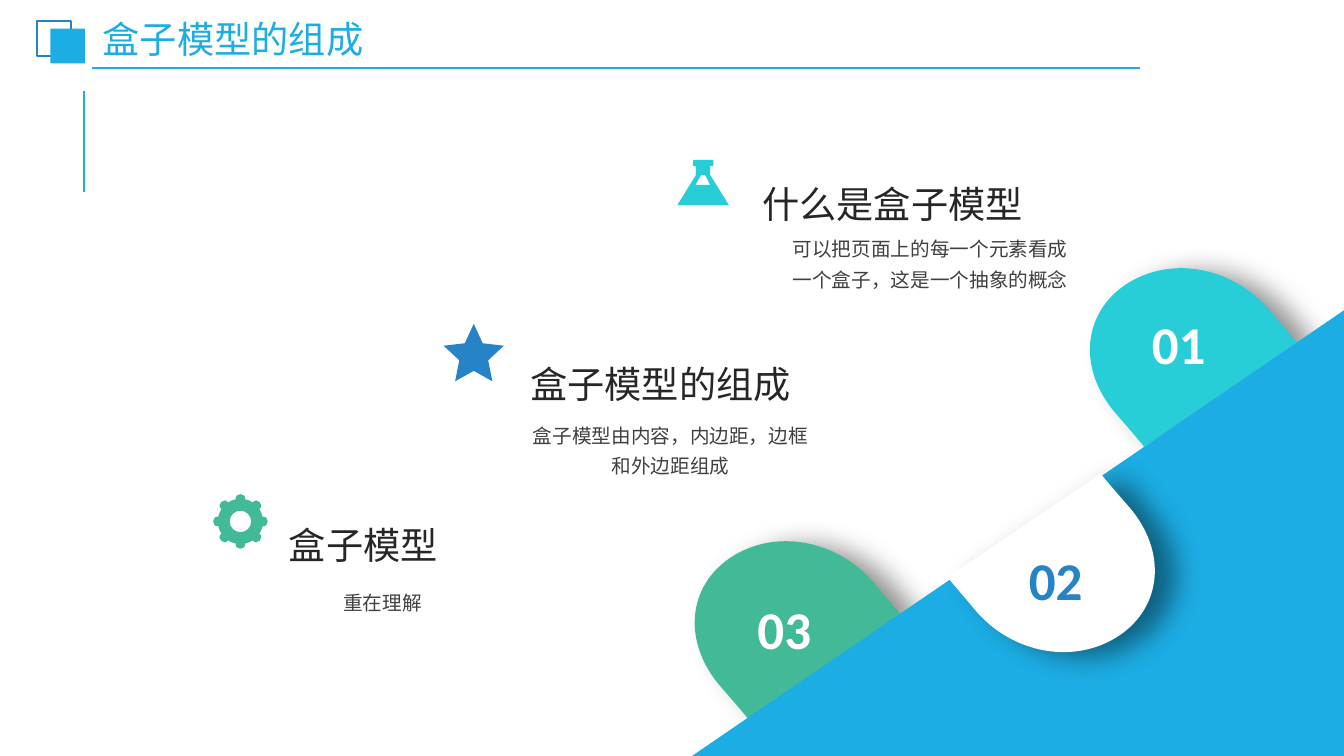
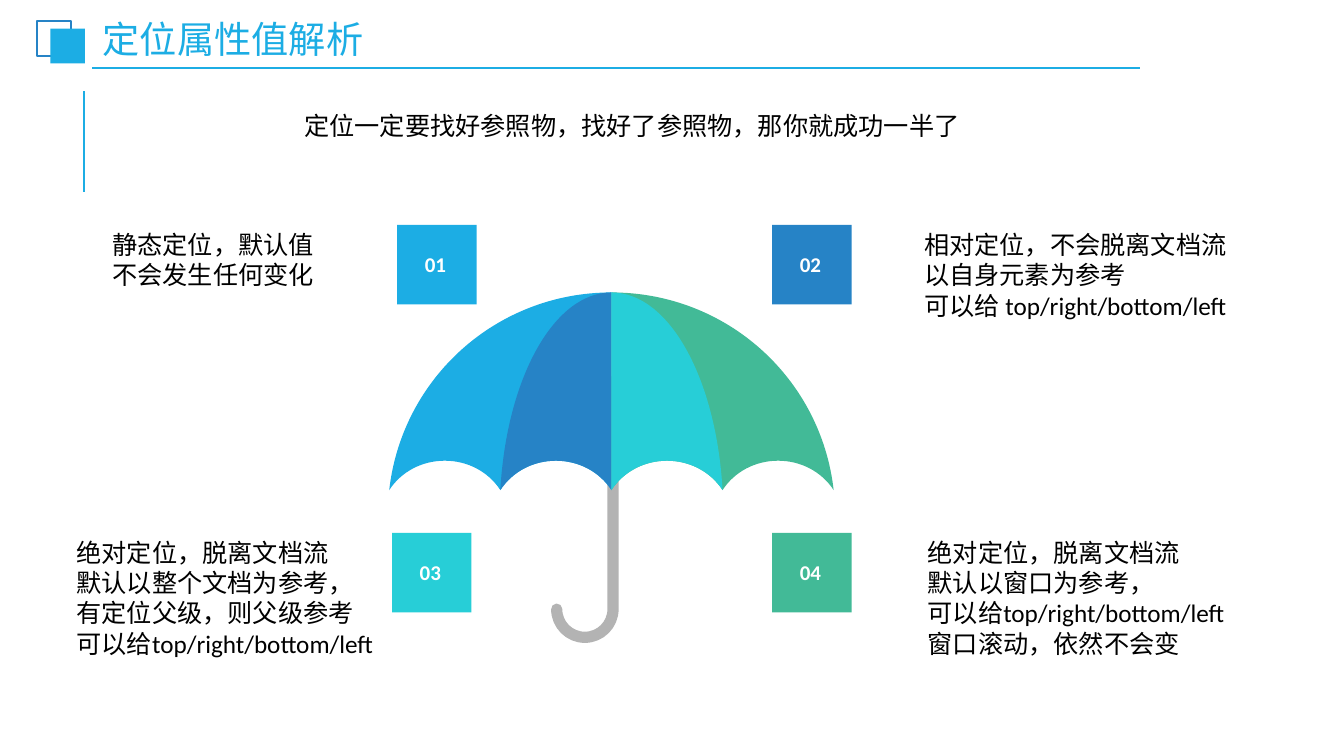
from math import cos, pi, sin, tan

from lxml.etree import SubElement as Sub
from pptx import Presentation
from pptx.dml.color import RGBColor as Rgb
from pptx.enum.shapes import MSO_CONNECTOR as Conn, MSO_SHAPE as Kind
from pptx.enum.text import MSO_ANCHOR as Anchor, MSO_AUTO_SIZE as Auto, PP_ALIGN as Align
from pptx.oxml.ns import qn
from pptx.util import Cm, Pt

FONT = "Calibri"
HUES = {
    "sky": "1CADE4", "blue": "2683C6", "cyan": "27CED7", "green": "42BA97",
    "white": "FFFFFF", "black": "000000", "dark": "262626", "gray": "404040",
    "steel": "B3B3B3",
}
WIDE, HIGH = 33.87, 19.05


def hue(name):
    return Rgb.from_string(HUES[name])


# Basic parts
def paint(shape, fill=None, line=None, width=1.5):
    shape.shadow.inherit = False
    if fill:
        shape.fill.solid()
        shape.fill.fore_color.rgb = hue(fill)
    else:
        shape.fill.background()
    if line:
        shape.line.color.rgb = hue(line)
        shape.line.width = Pt(width)
    else:
        shape.line.fill.background()
    return shape


def block(slide, kind, x, y, w, h, **look):
    return paint(slide.shapes.add_shape(kind, Cm(x), Cm(y), Cm(w), Cm(h)), **look)


def rule(slide, x1, y1, x2, y2, width):
    line = slide.shapes.add_connector(Conn.STRAIGHT, Cm(x1), Cm(y1), Cm(x2), Cm(y2))
    line.line.color.rgb = hue("sky")
    line.line.width = Pt(width)
    Sub(line._element.spPr, qn("a:effectLst"))


def write(frame, text, size=18, color="black", bold=False, align=Align.LEFT,
          anchor=Anchor.TOP, space=1.0, inset=(0.25, 0.13), grow=True):
    frame.word_wrap = True
    frame.auto_size = Auto.SHAPE_TO_FIT_TEXT if grow else Auto.NONE
    frame.vertical_anchor = anchor
    frame.margin_left = frame.margin_right = Cm(inset[0])
    frame.margin_top = frame.margin_bottom = Cm(inset[1])
    for i, row in enumerate(text.split("\n")):
        para = frame.add_paragraph() if i else frame.paragraphs[0]
        para.alignment = align
        para.line_spacing = space
        run = para.add_run()
        run.text = row
        run.font.name = FONT
        run.font.size = Pt(size)
        run.font.bold = bold
        run.font.color.rgb = hue(color)


def label(slide, x, y, w, h, text, **form):
    box = slide.shapes.add_textbox(Cm(x), Cm(y), Cm(w), Cm(h))
    write(box.text_frame, text, **form)


# Outlines: a ring is a start and parts; two numbers a line, six a cubic curve
def trace(ring, steps=16):
    dots = [ring[0]]
    for part in ring[1:]:
        if len(part) == 2:
            dots.append(part)
            continue
        x0, y0 = dots[-1]
        x1, y1, x2, y2, x3, y3 = part
        for i in range(1, steps + 1):
            t = i / steps
            a, b, c, d = (1 - t) ** 3, 3 * t * (1 - t) ** 2, 3 * t * t * (1 - t), t ** 3
            dots.append((a * x0 + b * x1 + c * x2 + d * x3,
                         a * y0 + b * y1 + c * y2 + d * y3))
    return dots


def arc(x, y, r, start, end, count=1):
    """Cubic curves along a circle, without the starting point."""
    step = (end - start) / count
    pull = 4 / 3 * tan(step / 4)
    parts = []
    for i in range(count):
        a, b = start + i * step, start + (i + 1) * step
        parts.append((x + r * (cos(a) - pull * sin(a)), y + r * (sin(a) + pull * cos(a)),
                      x + r * (cos(b) + pull * sin(b)), y + r * (sin(b) - pull * cos(b)),
                      x + r * cos(b), y + r * sin(b)))
    return parts


def draw(slide, x, y, *rings, flip=(1, 1), close=True, **look):
    """Outline whose rings are measured from the point x, y."""
    def spot(a, b):
        return Cm(x + flip[0] * a), Cm(y + flip[1] * b)

    # Sampled points give the bounds
    pen = None
    for ring in rings:
        dots = [spot(*dot) for dot in trace(ring)]
        if pen is None:
            pen = slide.shapes.build_freeform(*dots[0], scale=1.0)
        else:
            pen.move_to(*dots[0])
        pen.add_line_segments(dots[1:], close=close)
    shape = paint(pen.convert_to_shape(), **look)

    # True curves take their place
    track = shape._element.spPr.find(".//" + qn("a:path"))
    for step in list(track):
        track.remove(step)
    for ring in rings:
        for i, part in enumerate(ring):
            tag = "a:cubicBezTo" if len(part) == 6 else "a:lnTo" if i else "a:moveTo"
            step = Sub(track, qn(tag))
            for a, b in zip(part[::2], part[1::2]):
                px, py = spot(a, b)
                Sub(step, qn("a:pt"), x=str(px - shape.left), y=str(py - shape.top))
        if close:
            Sub(track, qn("a:close"))
    return shape


def shade(shape):
    glow = Sub(shape._element.spPr.find(qn("a:effectLst")), qn("a:outerShdw"),
               blurRad=str(Pt(20)), dist=str(Pt(15)), dir=str(12 * 60000),
               algn="ctr", rotWithShape="0")
    tint = Sub(glow, qn("a:srgbClr"), val=HUES["black"])
    Sub(tint, qn("a:alpha"), val="43000")


# Shared header
def header(slide, title):
    rule(slide, 2.11, 4.83, 2.11, 2.29, 1.5)
    rule(slide, 2.33, 1.72, 28.73, 1.72, 1.25)
    block(slide, Kind.RECTANGLE, 0.93, 0.53, 0.87, 0.88, line="blue")
    block(slide, Kind.RECTANGLE, 1.27, 0.72, 0.87, 0.88, fill="sky")
    label(slide, 2.4, 0.58, 9.98, 0.94, title, size=26.6, color="sky",
          anchor=Anchor.MIDDLE, space=0.9, inset=(0.19, 0.1), grow=False)


# Icons
def flask(slide, x, y, color):
    body = [(0, 1.14), (1.3, 1.14), (0.83, 0.38), (0.83, 0.16), (0.91, 0.16),
            (0.91, 0), (0.4, 0), (0.4, 0.16), (0.47, 0.16), (0.47, 0.38)]
    hole = [(0.6, 0.38), (0.7, 0.38), (0.83, 0.63), (0.46, 0.63)]
    draw(slide, x, y, body, hole, fill=color)


def star(slide, x, y, color):
    shape = block(slide, Kind.STAR_5_POINT, x, y, 1.52, 1.45, fill=color)
    shape.adjustments[0] = 0.24


def gear(slide, x, y, color, teeth=8):
    body, bore, half, lean = 0.57, 0.27, 0.69, 0.21
    gap = 2 * pi / teeth
    rim = [(body * cos(-lean), body * sin(-lean))]
    for i in range(teeth):
        mid = i * gap
        end = mid + lean
        tip = []
        for side in (-0.15, 0.15):
            tip += [0.73 * cos(mid) - side * sin(mid), 0.73 * sin(mid) + side * cos(mid)]
        rim.append((*tip, body * cos(end), body * sin(end)))
        rim += arc(0, 0, body, end, mid + gap - lean)
    hole = [(bore, 0)] + arc(0, 0, bore, 0, 2 * pi, 4)
    draw(slide, x + half, y + half, rim, hole, fill=color)


# Parts of the stairs slide
def drop(slide, x, y, fill, side=1):
    """Drop with its cut corner at x, y."""
    ring = [(0, 0), (0, 0, -0.69, -0.81, -0.71, -0.84),
            (-1.65, -1.93, -3.2, -2.21, -4.32, -1.47),
            (-5.41, -0.74, -5.54, 0.66, -4.57, 1.78),
            (-4.57, 1.78, -3.86, 2.59, -3.86, 2.62)]
    shade(draw(slide, x, y, ring, flip=(side, side), fill=fill))


def topic(slide, x, y, w, head, note, dx, dy, nw, nh):
    label(slide, x, y, w, 1.52, head, size=26.6, color="dark", space=1.2)
    label(slide, x + dx, y + dy, nw, nh, note, size=14, color="gray",
          align=Align.CENTER, space=1.3, inset=(0.23, 0.11))


def stairs(slide):
    header(slide, "盒子模型的组成")
    # Drops and slope
    drop(slide, 32.69, 8.64, "cyan")
    drop(slide, 22.73, 15.52, "green")
    left, top = 17.44, 7.82
    draw(slide, left, top, [(0, HIGH - top), (WIDE - left, HIGH - top),
                            (WIDE - left, 0)], fill="sky")
    drop(slide, 23.88, 14.55, "white", side=-1)
    # Topics
    flask(slide, 17.07, 4.03, "cyan")
    star(slide, 11.18, 8.16, "blue")
    gear(slide, 5.37, 12.45, "green")
    topic(slide, 18.96, 4.22, 8.36, "什么是盒子模型",
          "可以把页面上的每一个元素看成一个盒子，这是一个抽象的概念",
          0.65, 1.47, 7.67, 1.73)
    topic(slide, 13.11, 8.76, 8.64, "盒子模型的组成",
          "盒子模型由内容，内边距，边框和外边距组成", 0.07, 1.63, 7.44, 1.73)
    topic(slide, 7.03, 12.81, 9.02, "盒子模型", "重在理解", -1.11, 1.8, 7.44, 0.94)
    # Numbers
    block(slide, Kind.RECTANGLE, 25.68, 13.67, 2.26, 1.88, fill="white")
    for x, y, text, ink in ((28.78, 7.72, "01", "white"), (25.68, 13.67, "02", "blue"),
                            (18.84, 14.91, "03", "white")):
        if ink == "white":
            label(slide, x, y, 2.26, 1.88, text, size=37.9, color=ink, bold=True)
        else:
            write(slide.shapes[-2].text_frame, text, size=37.9, color=ink, bold=True)


# Parts of the umbrella slide
def shell(slide, x, y, side, bays, color):
    """Half canopy of one or two bays, with its tip at x, y."""
    bay, drip, rise = 2.8, 4.98, 0.74
    lip = drip - rise
    ring = [(0, 0), (1.45 * bays, 0, 2.64 * bays, 2.16, bay * bays, drip)]
    for i in range(bays, 0, -1):
        edge, mid = i * bay, (i - 0.5) * bay
        ring += [(edge - 0.3, drip - 0.46, mid + 0.58, lip, mid, lip),
                 (mid - 0.58, lip, edge - bay + 0.3, drip - 0.46, edge - bay, drip)]
    draw(slide, x, y, ring, flip=(side, 1), fill=color)


def brolly(slide, x, y):
    # Handle
    foot, r = 7.98, 0.71
    hook = [(0, 2.24), (0, foot)] + arc(-r, foot, r, 0, pi, 2)
    stick = draw(slide, x + 0.04, y, hook, close=False, line="steel", width=8)
    stick._element.spPr.find(qn("a:ln")).set("cap", "rnd")
    # Canopy
    for side, bays, color in ((1, 2, "green"), (-1, 2, "sky"),
                              (-1, 1, "blue"), (1, 1, "cyan")):
        shell(slide, x, y, side, bays, color)


def card(slide, x, y, number, color, tx, width, text):
    tile = block(slide, Kind.ROUNDED_RECTANGLE, x, y, 2, 2, fill=color)
    tile.adjustments[0] = 0
    label(slide, x + 0.15, y + 0.25, 1.63, 1.35, number, size=15, color="white",
          bold=True, align=Align.CENTER, anchor=Anchor.MIDDLE, space=1.2,
          inset=(0, 0.28), grow=False)
    rows = text.count("\n") + 1
    label(slide, tx, y - 0.02, width, 0.26 + 0.77 * rows, text)


def rain(slide):
    header(slide, "定位属性值解析")
    brolly(slide, 15.41, 7.37)
    high, low = 5.67, 13.43
    card(slide, 10.01, high, "01", "sky", 2.58, 5.77,
         "静态定位，默认值\n不会发生任何变化")
    card(slide, 19.46, high, "02", "blue", 23.04, 8.2,
         "相对定位，不会脱离文档流\n以自身元素为参考\n可以给 top/right/bottom/left")
    label(slide, 7.42, 2.64, 17.2, 1.02,
          "定位一定要找好参照物，找好了参照物，那你就成功一半了")
    card(slide, 9.88, low, "03", "cyan", 1.68, 9.53,
         "绝对定位，脱离文档流\n默认以整个文档为参考，\n有定位父级，则父级参考\n"
         "可以给top/right/bottom/left")
    card(slide, 19.46, low, "04", "green", 23.13, 8.03,
         "绝对定位，脱离文档流\n默认以窗口为参考，\n可以给top/right/bottom/left\n"
         "窗口滚动，依然不会变")


def main():
    deck = Presentation()
    deck.slide_width, deck.slide_height = Cm(WIDE), Cm(HIGH)
    for build in (stairs, rain):
        build(deck.slides.add_slide(deck.slide_layouts[6]))
    deck.save("out.pptx")


if __name__ == "__main__":
    main()
